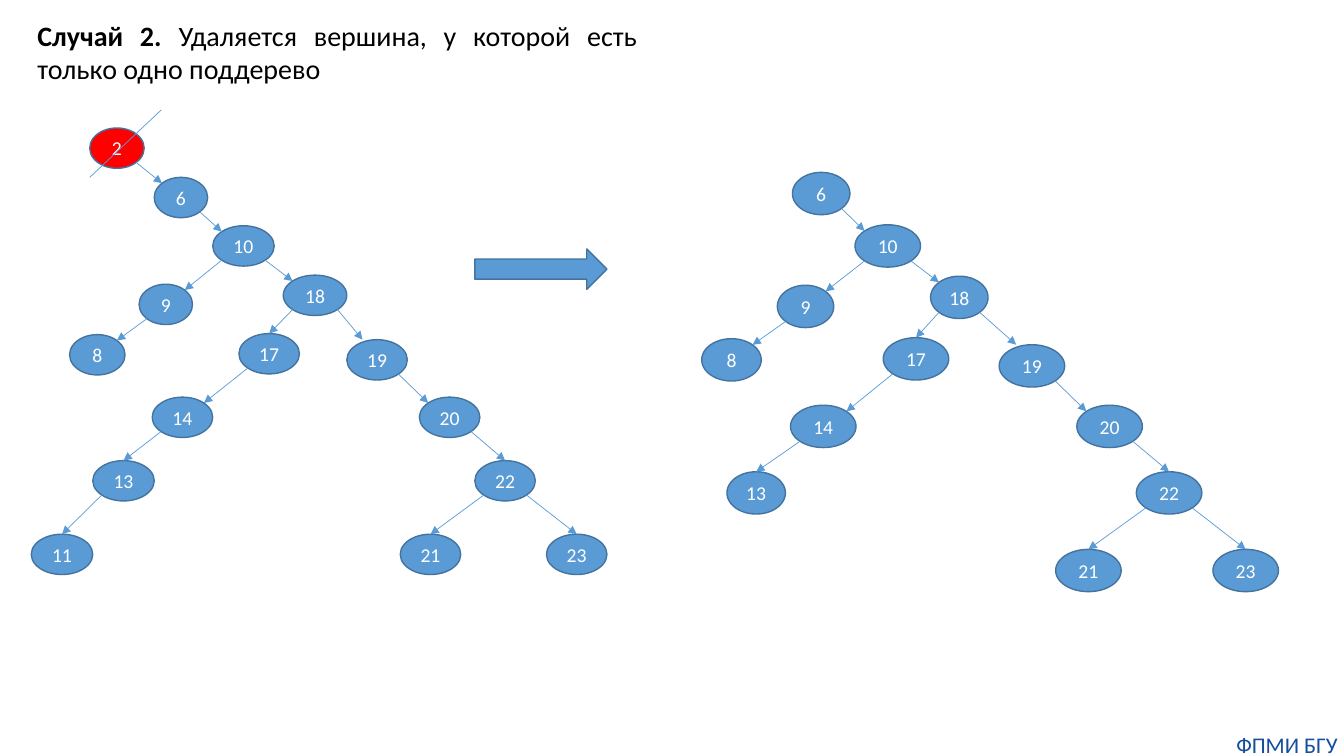
from lxml.etree import SubElement
from pptx import Presentation
from pptx.dml.color import RGBColor
from pptx.enum.shapes import MSO_CONNECTOR as Connector, MSO_SHAPE as Shape
from pptx.enum.text import MSO_ANCHOR as Anchor, MSO_AUTO_SIZE as AutoSize, PP_ALIGN as Align
from pptx.oxml.ns import qn
from pptx.util import Inches, Pt

COLORS = {"node": "5B9BD5", "outline": "43739E", "removed": "FF0000",
          "label": "FFFFFF", "title": "000000", "footer": "144E9D"}
FONT = "Calibri"
CELL = Inches(0.1)  # grid step: 133.3 columns by 75 rows

# Points of an oval as shares of its box
TOP, TOP_LEFT, TOP_RIGHT = (0.5, 0), (0.146, 0.146), (0.854, 0.146)
BOTTOM_LEFT, BOTTOM_RIGHT = (0.146, 0.854), (0.854, 0.854)
TOP_QUARTER = (0.26, 0)

# Edges: parent, child, point where the arrow enters the child
LEFT_EDGES = [(10, 9, TOP_RIGHT), (9, 8, TOP_RIGHT), (18, 17, TOP),
              (17, 14, TOP_RIGHT), (14, 13, TOP), (13, 11, TOP), (22, 21, TOP)]
RIGHT_EDGES = [(2, 6, TOP_LEFT), (6, 10, TOP_LEFT), (10, 18, TOP_LEFT),
               (18, 19, TOP_QUARTER), (19, 20, TOP_LEFT), (20, 22, TOP), (22, 23, TOP)]

# Nodes: key -> column, row, width
BEFORE = {
    2: (8.9, 12.7, 5.4), 6: (15.3, 17.6, 5.3), 10: (21.1, 22.4, 6.1),
    9: (13.8, 28.2, 5.3), 8: (6.9, 33.2, 5.5), 18: (28.1, 27.3, 6.3),
    17: (23.7, 33.1, 6), 14: (15.1, 39.4, 6), 13: (9.2, 45.7, 6.1),
    11: (3.1, 53, 6.1), 19: (34.4, 33.7, 6), 20: (41.6, 39.4, 6),
    22: (47.1, 45.7, 6), 21: (39.7, 53, 6), 23: (54.2, 53, 6)}
AFTER = {
    6: (78.6, 17.1, 5.7), 10: (84.8, 22.3, 6.5), 9: (77.1, 28.3, 5.6),
    8: (69.6, 33.6, 5.9), 18: (92.3, 27.4, 5.7), 17: (87.6, 33.5, 6.5),
    14: (78.4, 40.2, 6.5), 13: (72.1, 46.8, 5.8), 19: (99.1, 34.2, 6.5),
    20: (106.8, 40.2, 6.5), 22: (112.7, 46.8, 6.5), 21: (104.7, 54.5, 6.5),
    23: (120.3, 54.5, 6.5)}


def grid(*cells):
    return [round(cell * CELL) for cell in cells]


def color(name):
    return RGBColor.from_string(COLORS[name])


def write(shape, *pieces, size, fill, align=Align.CENTER, anchor=Anchor.TOP,
          wrap=True, insets=(0, 0), auto_size=AutoSize.NONE):
    """Write (text, bold) pieces as one paragraph."""
    frame = shape.text_frame
    frame.word_wrap, frame.vertical_anchor, frame.auto_size = wrap, anchor, auto_size
    frame.margin_left = frame.margin_right = Inches(insets[0])
    frame.margin_top = frame.margin_bottom = Inches(insets[1])
    para = frame.paragraphs[0]
    para.alignment, para.line_spacing, para.space_before = align, 1.0, Pt(0)
    for text, bold in pieces:
        span = para.add_run()
        span.text = text
        span.font.name, span.font.size, span.font.bold = FONT, Pt(size), bold
        span.font.color.rgb = color(fill)


def add_figure(page, kind, box, fill="node"):
    shape = page.shapes.add_shape(kind, *grid(*box))
    shape.shadow.inherit = False
    shape.fill.solid()
    shape.fill.fore_color.rgb = color(fill)
    shape.line.color.rgb = color("outline")
    shape.line.width = Pt(1)
    return shape


def add_line(page, start, end, arrow=False):
    line = page.shapes.add_connector(Connector.STRAIGHT, *grid(*start, *end))
    line.line.color.rgb = color("node")
    line.line.width = Pt(0.5)
    if arrow:
        SubElement(line.line._get_or_add_ln(), qn("a:tailEnd"), type="triangle")
    SubElement(line._element.spPr, qn("a:effectLst"))


def add_tree(page, nodes, height, removed=None):
    def point(key, share):
        column, row, width = nodes[key]
        return column + share[0] * width, row + share[1] * height

    for key, (column, row, width) in nodes.items():
        oval = add_figure(page, Shape.OVAL, (column, row, width, height),
                          "removed" if key == removed else "node")
        write(oval, (str(key), False), size=14, fill="label",
              anchor=Anchor.MIDDLE, wrap=False)
    for edges, leave in ((LEFT_EDGES, BOTTOM_LEFT), (RIGHT_EDGES, BOTTOM_RIGHT)):
        for parent, child, enter in edges:
            if parent in nodes and child in nodes:
                add_line(page, point(parent, leave), point(child, enter), arrow=True)


def main():
    deck = Presentation()
    deck.slide_width, deck.slide_height = Inches(13.33), Inches(7.5)
    page = deck.slides.add_slide(deck.slide_layouts[5])

    # Heading
    title = page.shapes.title
    title.left, title.top, title.width, title.height = grid(2.7, 1.3, 61.5, 7.7)
    write(title, ("Случай 2.", True),
          (" Удаляется вершина, у которой есть только одно поддерево", False),
          size=20, fill="title", align=Align.JUSTIFY, insets=(0.1, 0.05))

    # Trees before and after the removal
    add_tree(page, BEFORE, 4, removed=2)
    add_tree(page, AFTER, 4.2)
    add_figure(page, Shape.RIGHT_ARROW, (47.1, 24.7, 13.1, 4))

    # Strike through the removed node
    add_line(page, (16, 10.9), (8.9, 17.6))

    # Footer
    footer = page.shapes.add_textbox(*grid(122, 72.5, 11.3, 2.7))
    write(footer, ("ФПМИ БГУ", False), size=16, fill="footer",
          auto_size=AutoSize.SHAPE_TO_FIT_TEXT)

    deck.save("out.pptx")


if __name__ == "__main__":
    main()
